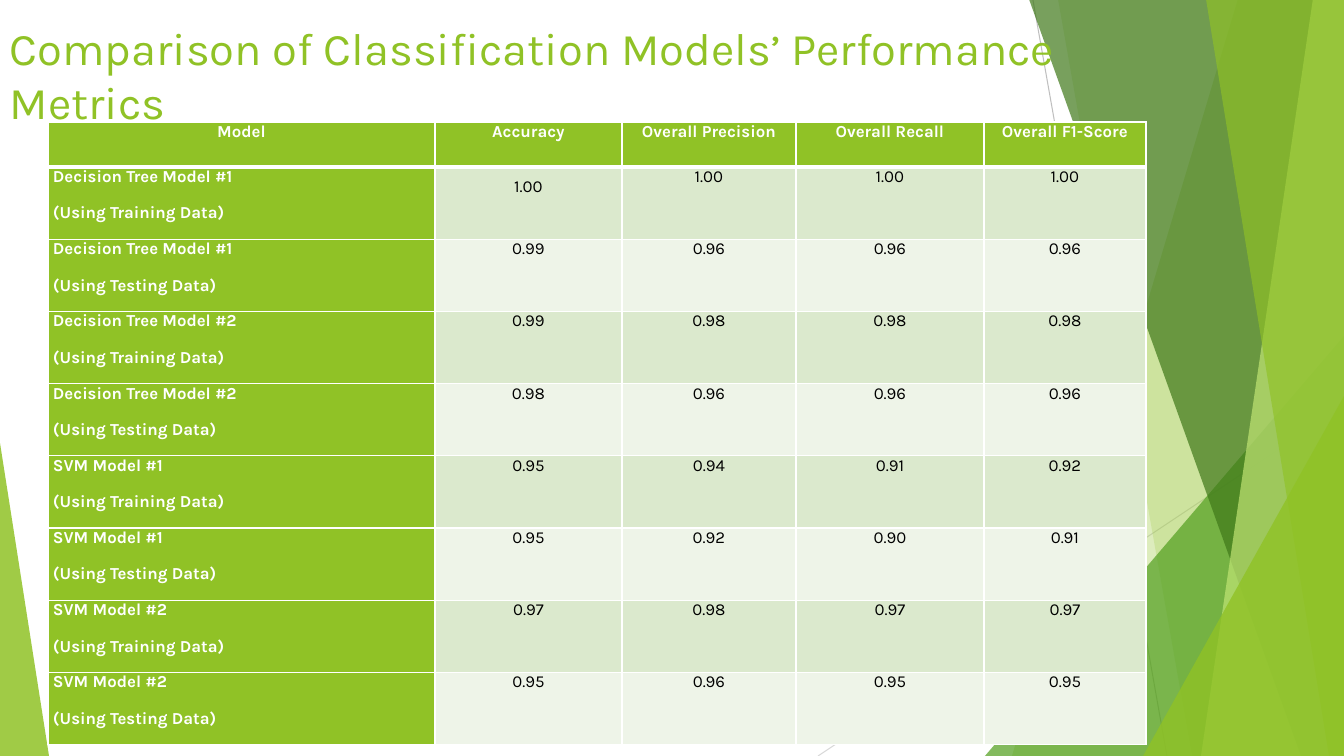
from dataclasses import dataclass

import pptx
import pptx.dml.color
import pptx.enum.shapes
import pptx.enum.text
import pptx.oxml
import pptx.oxml.ns
import pptx.util
from lxml import etree

WIDTH, HEIGHT = 1344, 756
SCALE = 12192000 / WIDTH  # EMU per px
FONT = "Karla"
COLOURS = {
    "lime": "90C226", "green": "54A021", "forest": "3F7819", "pale": "C0E474",
    "odd row": "DBE9CD", "even row": "EEF4E8", "white": "FFFFFF", "black": "000000",
    "grey": "BFBFBF", "light grey": "D9D9D9",
}


@dataclass
class Ray:
    start: tuple[int, int]
    end: tuple[int, int]
    colour: str


@dataclass
class Band:
    """A facet between a slanted left side and the right edge of the page."""
    top_x: int
    bottom_x: int
    colour: str
    opacity: int


@dataclass
class Wedge:
    """A right triangle standing on the bottom edge of the page."""
    left: int
    top: int
    width: int
    apex: int
    colour: str
    opacity: int


@dataclass
class Result:
    model: str
    data: str
    scores: tuple[str, str, str, str]


RAYS = [Ray((1033, 0), (1167, 756), "grey"), Ray((1344, 406), (818, 756), "light grey")]
FACETS = [
    Band(1238, 1012, "lime", 30),
    Band(1058, 1192, "lime", 20),
    Wedge(985, 336, 359, 1, "green", 72),
    Band(1029, 1301, "forest", 70),
    Band(1313, 1201, "pale", 70),
    Band(1206, 1329, "lime", 65),
    Wedge(1143, 396, 201, 1, "lime", 80),
    Wedge(0, 443, 49, 0, "lime", 85),
]
HEADINGS = ["Model", "Accuracy", "Overall Precision", "Overall Recall", "Overall F1-Score"]
COLUMN_WIDTHS = [387, 187, 174, 188, 162]
HEADER_HEIGHT, BODY_HEIGHT = 45, 578
RESULTS = [
    Result("Decision Tree Model #1", "Training", ("1.00", "1.00", "1.00", "1.00")),
    Result("Decision Tree Model #1", "Testing", ("0.99", "0.96", "0.96", "0.96")),
    Result("Decision Tree Model #2", "Training", ("0.99", "0.98", "0.98", "0.98")),
    Result("Decision Tree Model #2", "Testing", ("0.98", "0.96", "0.96", "0.96")),
    Result("SVM Model #1", "Training", ("0.95", "0.94", "0.91", "0.92")),
    Result("SVM Model #1", "Testing", ("0.95", "0.92", "0.90", "0.91")),
    Result("SVM Model #2", "Training", ("0.97", "0.98", "0.97", "0.97")),
    Result("SVM Model #2", "Testing", ("0.95", "0.96", "0.95", "0.95")),
]


def px(length: float) -> pptx.util.Emu:
    return pptx.util.Emu(round(length * SCALE))


def rgb(colour: str) -> pptx.dml.color.RGBColor:
    return pptx.dml.color.RGBColor.from_string(COLOURS[colour])


def draw_ray(page, ray: Ray) -> None:
    line = page.shapes.add_connector(
        pptx.enum.shapes.MSO_CONNECTOR.STRAIGHT,
        *(px(value) for value in ray.start + ray.end))
    line.line.color.rgb = rgb(ray.colour)
    line.line.width = pptx.util.Pt(0.75)
    etree.SubElement(line._element.spPr, pptx.oxml.ns.qn("a:effectLst"))


def draw_facet(page, facet: Band | Wedge) -> None:
    if isinstance(facet, Band):
        outline = page.shapes.build_freeform(facet.top_x, -1, scale=SCALE)
        outline.add_line_segments(
            [(WIDTH, -1), (WIDTH, HEIGHT), (facet.bottom_x, HEIGHT)], close=True)
        shape = outline.convert_to_shape()
    else:
        shape = page.shapes.add_shape(
            pptx.enum.shapes.MSO_SHAPE.ISOSCELES_TRIANGLE,
            px(facet.left), px(facet.top), px(facet.width), px(HEIGHT - facet.top))
        shape.adjustments[0] = facet.apex
    shape.shadow.inherit = False
    shape.line.fill.background()
    shape.fill.solid()
    shape.fill.fore_color.rgb = rgb(facet.colour)
    tint = shape._element.spPr.find(".//" + pptx.oxml.ns.qn("a:srgbClr"))
    etree.SubElement(tint, pptx.oxml.ns.qn("a:alpha"), val=str(facet.opacity * 1000))


def set_font(para, size: float, colour: str, bold: bool = False) -> None:
    para.font.name = FONT
    para.font.size = pptx.util.Pt(size)
    para.font.bold = bold
    para.font.color.rgb = rgb(colour)


def set_borders(cell, top: int, bottom: int) -> None:
    widths = {"lnL": 1, "lnR": 1, "lnT": top, "lnB": bottom}
    for index, (side, width) in enumerate(widths.items()):
        border = pptx.oxml.parse_xml(
            f'<a:{side} {pptx.oxml.ns.nsdecls("a")} w="{pptx.util.Pt(width)}"><a:solidFill>'
            f'<a:srgbClr val="{COLOURS["white"]}"/></a:solidFill></a:{side}>')
        cell._tc.get_or_add_tcPr().insert(index, border)


def fill_cell(cell, lines: list[str], fill: str, colour: str,
              centred: bool, header: bool, below_header: bool) -> None:
    cell.margin_left = cell.margin_right = px(5)
    cell.margin_top = cell.margin_bottom = 0
    cell.fill.solid()
    cell.fill.fore_color.rgb = rgb(fill)
    set_borders(cell, 3 if below_header else 1, 3 if header else 1)
    cell.text = "\n".join(lines)
    for para in cell.text_frame.paragraphs:
        set_font(para, 12, colour, bold=colour == "white")
        if centred:
            para.alignment = pptx.enum.text.PP_ALIGN.CENTER
        if not header:
            para.space_before = pptx.util.Pt(12)


def add_title(page) -> None:
    box = page.shapes.add_textbox(0, px(11), px(1099), px(52))
    frame = box.text_frame
    frame.word_wrap = True
    frame.margin_top = px(9)
    para = frame.paragraphs[0]
    para.text = "Comparison of Classification Models’ Performance Metrics"
    set_font(para, 32.4, "lime")


def add_metrics_table(page) -> None:
    table = page.shapes.add_table(
        len(RESULTS) + 1, len(HEADINGS), px(48), px(122),
        px(sum(COLUMN_WIDTHS)), px(HEADER_HEIGHT + BODY_HEIGHT)).table
    for column, width in zip(table.columns, COLUMN_WIDTHS):
        column.width = px(width)
    for index, row in enumerate(table.rows):
        row.height = px(BODY_HEIGHT / len(RESULTS) if index else HEADER_HEIGHT)

    for column, heading in enumerate(HEADINGS):
        fill_cell(table.cell(0, column), [heading], "lime", "white", True, True, False)
    for row, result in enumerate(RESULTS, start=1):
        label = [result.model, f"(Using {result.data} Data)"]
        fill_cell(table.cell(row, 0), label, "lime", "white", False, False, row == 1)
        stripe = "odd row" if row % 2 else "even row"
        for column, score in enumerate(result.scores, start=1):
            fill_cell(table.cell(row, column), [score], stripe, "black", True, False, row == 1)
    # The first accuracy score sits lower than its neighbours
    table.cell(1, 1).text_frame.paragraphs[0].line_spacing = 1.5


def main() -> None:
    deck = pptx.Presentation()
    deck.slide_width, deck.slide_height = px(WIDTH), px(HEIGHT)
    page = deck.slides.add_slide(deck.slide_layouts[6])
    # Backdrop
    for ray in RAYS:
        draw_ray(page, ray)
    for facet in FACETS:
        draw_facet(page, facet)
    # Content
    add_title(page)
    add_metrics_table(page)
    deck.save("out.pptx")


if __name__ == "__main__":
    main()
